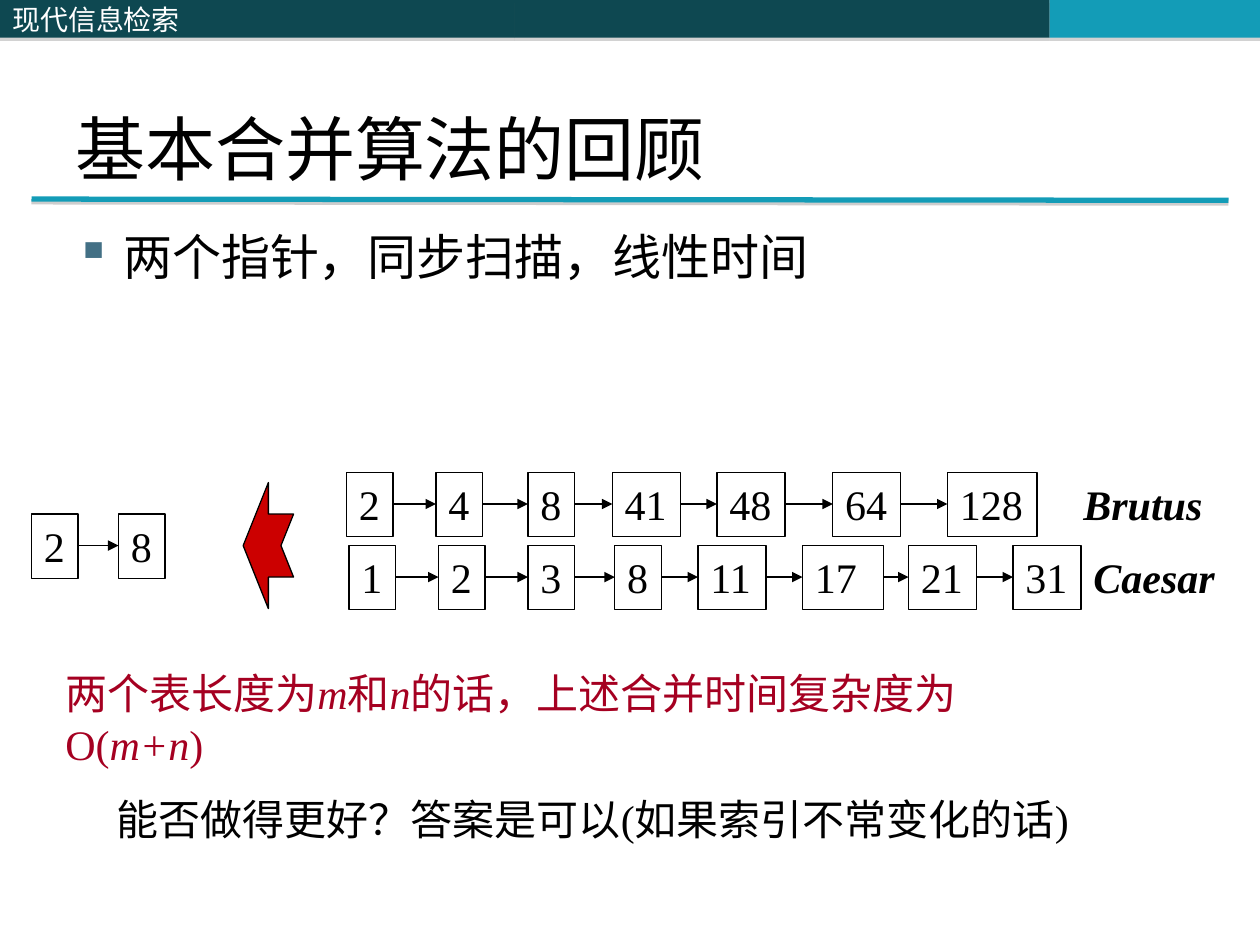
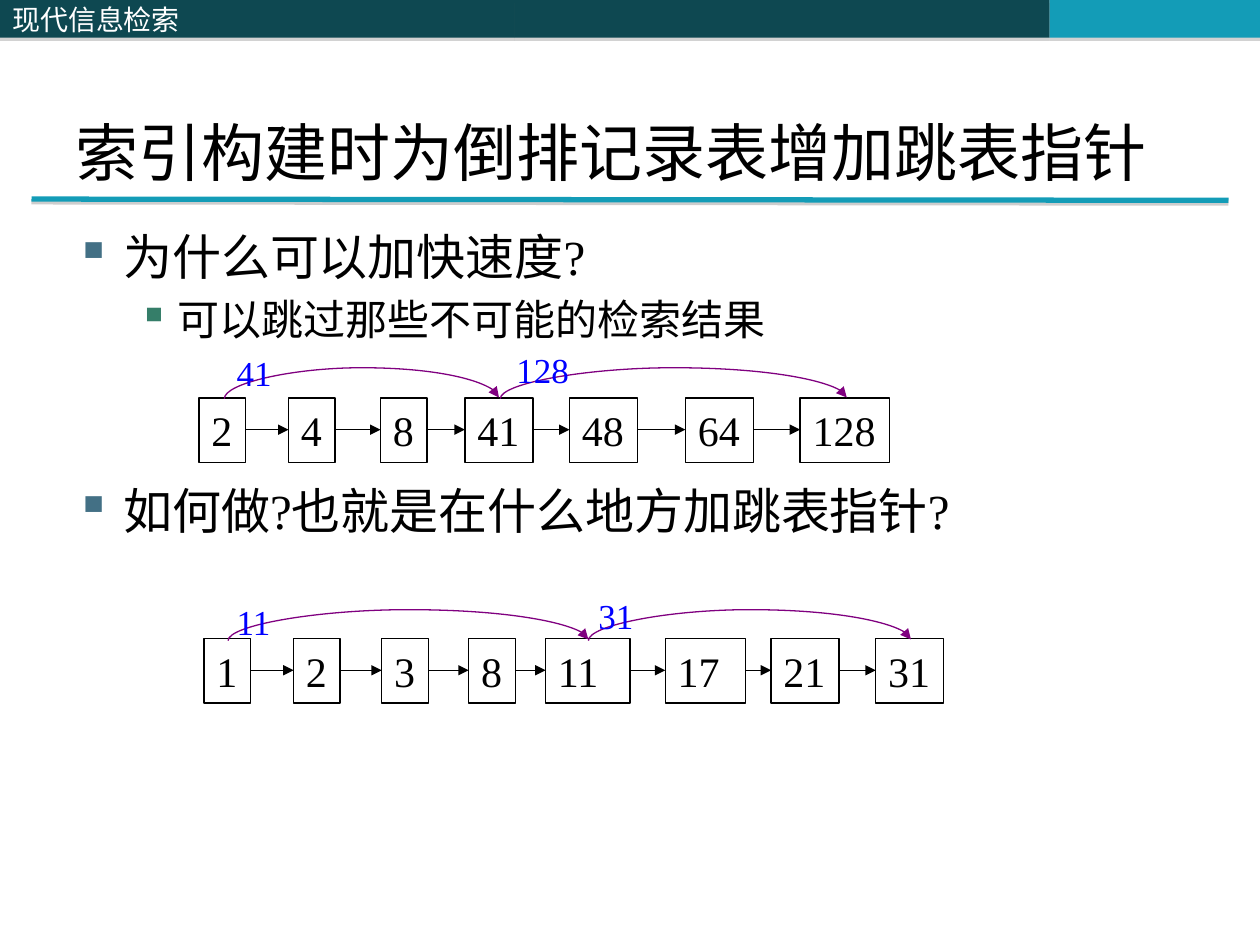
from lxml.etree import SubElement as Sub
from pptx import Presentation
from pptx.dml.color import RGBColor as Rgb
from pptx.enum.shapes import MSO_CONNECTOR as Link, MSO_SHAPE as Kind
from pptx.enum.text import MSO_ANCHOR as Anchor, MSO_AUTO_SIZE as Fit, PP_ALIGN as Align
from pptx.oxml.ns import qn
from pptx.util import Inches, Pt

HUES = {"dark": "0E4851", "teal": "139CB7", "grey": "808080", "black": "000000",
        "white": "FFFFFF", "red": "CC0000", "wine": "A50021", "plum": "800080",
        "blue": "0000FF", "mark": "437085", "submark": "357E69"}
SERIF, SANS = "Times New Roman", "Noto Sans CJK SC"
BRUTUS = [("2", 0), ("4", 0.71), ("8", 1.44), ("41", 2.11), ("48", 2.94), ("64", 3.86), ("128", 4.77)]
CAESAR = [("1", 0), ("2", 0.71), ("3", 1.42), ("8", 2.11), ("11", 2.77), ("17", 3.6, 0.64),
          ("21", 4.44), ("31", 5.27)]
SPREAD = [("1", 0), ("2", 0.71), ("3", 1.41), ("8", 2.1), ("11", 2.71, 0.67), ("17", 3.66, 0.64),
          ("21", 4.5), ("31", 5.33)]


class Deck:
    """Hold the shared style and the current slide, and draw each kind of element."""

    def __init__(self):
        self.prs = Presentation()
        self.prs.slide_width, self.prs.slide_height = Inches(10), Inches(7.5)

    def hue(self, name):
        return Rgb.from_string(HUES[name])

    def font(self, part, size, color="black", face=SERIF):
        part.font.size, part.font.name = Pt(size), face
        part.font.color.rgb = self.hue(color)

    def shade(self, shape, dist, alpha):
        props = shape.element.spPr
        for old in props.findall(qn("a:effectLst")):
            props.remove(old)
        cast = Sub(Sub(props, qn("a:effectLst")), qn("a:outerShdw"), blurRad="0",
                   dist=str(Pt(dist)), dir="5400000", rotWithShape="0")
        tint = Sub(cast, qn("a:srgbClr"), val=HUES["grey"])
        Sub(tint, qn("a:alpha"), val=str(alpha * 1000))

    def shape(self, kind, x, y, w, h, fill=None, line=None):
        item = self.slide.shapes.add_shape(kind, Inches(x), Inches(y), Inches(w), Inches(h))
        item.shadow.inherit = False
        if fill:
            item.fill.solid()
            item.fill.fore_color.rgb = self.hue(fill)
        else:
            item.fill.background()
        if line:
            item.line.color.rgb, item.line.width = self.hue(line), Pt(0.75)
        else:
            item.line.fill.background()
        return item

    def line(self, x1, y1, x2, y2, color="black", width=0.75, head=True, kind=Link.STRAIGHT):
        item = self.slide.shapes.add_connector(kind, Inches(x1), Inches(y1), Inches(x2), Inches(y2))
        item.line.color.rgb, item.line.width = self.hue(color), Pt(width)
        if head:
            Sub(item.line._get_or_add_ln(), qn("a:tailEnd"), type="triangle")
        Sub(item.element.spPr, qn("a:effectLst"))
        return item

    def arc(self, x1, x2, y):
        mid, half, thin = (x1 + x2) / 2, (x2 - x1) / 2, 0.005
        item = self.line(mid - thin, y - half, mid + thin, y + half, "plum", kind=Link.CURVE)
        frame = item.element.spPr.find(qn("a:xfrm"))
        for key, val in (("rot", "5400000"), ("flipH", "1"), ("flipV", "1")):
            frame.set(key, val)
        geom = item.element.spPr.find(qn("a:prstGeom"))
        Sub(geom.find(qn("a:avLst")), qn("a:gd"), name="adj1", fmla="val 2500000")

    def text(self, x, y, w, h, runs, size=24, color="black", wrap=True, bold=None,
             anchor=Anchor.TOP, right=0.1):
        frame = self.slide.shapes.add_textbox(Inches(x), Inches(y), Inches(w), Inches(h)).text_frame
        frame.word_wrap, frame.vertical_anchor = wrap, anchor
        frame.margin_right = Inches(right)
        para = frame.paragraphs[0]
        self.font(para, size, color)
        para.font.bold = bold
        for words, slant in runs:
            run = para.add_run()
            run.text = words
            self.font(run, size, color)
            run.font.italic = slant

    def points(self, rows):
        box = self.slide.shapes.add_textbox(Inches(0.5), Inches(1.75), Inches(9), Inches(5.42))
        frame = box.text_frame
        frame.word_wrap = True
        for num, (words, level, gap) in enumerate(rows):
            para = frame.add_paragraph() if num else frame.paragraphs[0]
            size, left, hang, mark = [(28, 0.38, 0.38, "mark"), (24, 0.81, 0.31, "submark")][level]
            para.text, para.level, para.space_before = words, level, Pt(gap)
            self.font(para, size)
            props = para._p.get_or_add_pPr()
            props.set("marL", str(Inches(left)))
            props.set("indent", str(-Inches(hang)))
            tint = Sub(props, qn("a:buClr"))
            Sub(tint, qn("a:srgbClr"), val=HUES[mark])
            Sub(props, qn("a:buChar"), char="▪")
            props.append(props.find(qn("a:defRPr")))

    def page(self, title, size):
        self.slide = self.prs.slides.add_slide(self.prs.slide_layouts[6])
        for x, w, fill in ((4.08, 4.25, "dark"), (8.33, 1.67, "teal"), (0, 4.08, "dark")):
            band = self.shape(Kind.RECTANGLE, x, 0, w, 0.3, fill)
            self.shade(band, 1.8, 35)
        band.text_frame.vertical_anchor = Anchor.MIDDLE
        para = band.text_frame.paragraphs[0]
        para.text, para.alignment = "现代信息检索", Align.LEFT
        self.font(para, 16, "white", SANS)
        self.shade(self.line(0.25, 1.58, 9.75, 1.59, "teal", 3, False), 1.6, 38)
        self.text(0.5, 0.3, 9, 1.25, [(title, None)], size, anchor=Anchor.BOTTOM)

    def cell(self, words, x, y, w, wrap):
        frame = self.shape(Kind.RECTANGLE, x, y, w, 0.51, line="black").text_frame
        frame.word_wrap, frame.auto_size = wrap, Fit.SHAPE_TO_FIT_TEXT
        frame.vertical_anchor = Anchor.TOP
        para = frame.paragraphs[0]
        para.text, para.alignment = words, Align.LEFT
        self.font(para, 24)

    def chain(self, x, y, nodes):
        end = None
        for words, step, *wide in nodes:
            left = x + step
            w = wide[0] if wide else 0.2 + 0.17 * len(words)
            if end:
                self.line(end, y + 0.25, left, y + 0.25)
            self.cell(words, left, y, w, bool(wide))
            end = left + w


def main():
    deck = Deck()

    deck.page("基本合并算法的回顾", 40)
    deck.points([("两个指针，同步扫描，线性时间", 0, 5.6)])
    deck.chain(2.75, 3.75, BRUTUS)
    deck.chain(2.77, 4.33, CAESAR)
    deck.chain(0.25, 4.08, [("2", 0), ("8", 0.69)])
    for name, x, y, w in (("Brutus", 8.5, 3.75, 1.16), ("Caesar", 8.58, 4.33, 1.18)):
        deck.text(x, y, w, 0.51, [(name, True)], wrap=False, bold=True)
    deck.shape(Kind.NOTCHED_RIGHT_ARROW, 1.93, 3.83, 0.4, 1, "red", "black").rotation = 180
    cost = [("两个表长度为", False), ("m", True), ("和", False), ("n", True),
            ("的话，上述合并时间复杂度为 O(", False), ("m+n", True), (")", False)]
    deck.text(0.42, 5.25, 8.78, 0.91, cost, color="wine", right=0.6)
    deck.text(0.83, 6.25, 8.42, 0.51, [("能否做得更好？答案是可以(如果索引不常变化的话)", None)])

    deck.page("索引构建时为倒排记录表增加跳表指针", 36)
    deck.points([("为什么可以加快速度?", 0, 5.6), ("可以跳过那些不可能的检索结果", 1, 4.8),
                 ("如何做?也就是在什么地方加跳表指针?", 0, 78)])
    deck.chain(1.58, 3.16, BRUTUS)
    deck.chain(1.62, 5.07, SPREAD)
    for x1, x2, y in ((1.78, 3.96, 3.16), (3.97, 6.72, 3.16), (1.81, 4.67, 5.08), (4.67, 7.23, 5.08)):
        deck.arc(x1, x2, y)
    for words, x, y in (("31", 4.65, 4.67), ("11", 1.78, 4.72), ("41", 1.78, 2.74), ("128", 4, 2.72)):
        deck.text(x, y, 0.2 + 0.14 * len(words), 0.44, [(words, None)], 20, "blue", False)

    deck.prs.save("out.pptx")


if __name__ == "__main__":
    main()
